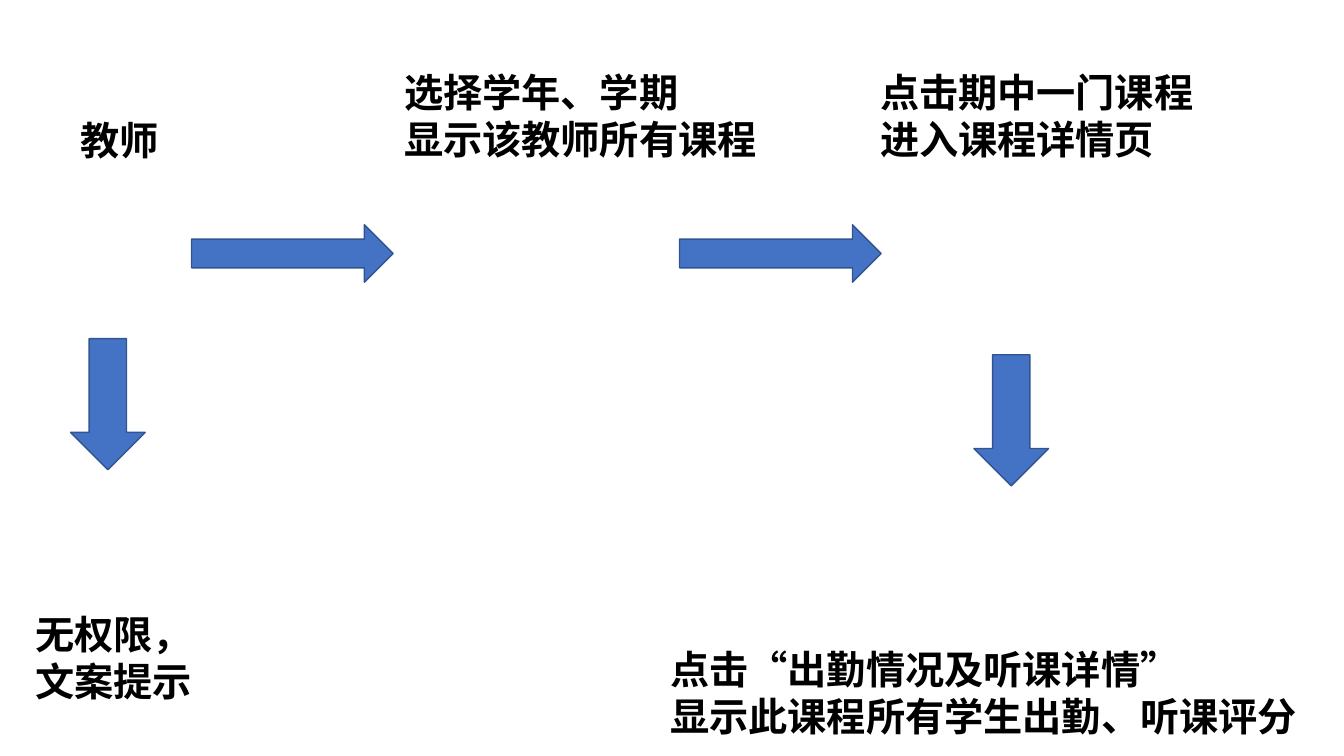
"""Build a slide showing the teacher's course lookup flow."""
from dataclasses import dataclass

from lxml import etree
from pptx import Presentation
from pptx.dml.color import RGBColor
from pptx.enum.shapes import MSO_SHAPE
from pptx.enum.text import MSO_AUTO_SIZE
from pptx.oxml.ns import qn
from pptx.util import Inches, Pt

RIGHT_ARROW = MSO_SHAPE.RIGHT_ARROW
DOWN_ARROW = MSO_SHAPE.DOWN_ARROW
FIT_SHAPE = MSO_AUTO_SIZE.SHAPE_TO_FIT_TEXT
BLANK_LAYOUT = 6

STEPS = [
    (0.7, 1.1, 1.5, 0.57, ["教师"]),
    (3.91, 0.63, 3.77, 1.04, ["选择学年、学期", "显示该教师所有课程"]),
    (8.63, 0.63, 3.77, 1.04, ["点击期中一门课程", "进入课程详情页"]),
    (6.55, 6.35, 6.75, 1.04, ["点击“出勤情况及听课详情”", "显示此课程所有学生出勤、听课评分"]),
    (0.25, 6.01, 1.9, 1.04, ["无权限，文案提示"]),
]
ARROWS = [
    (RIGHT_ARROW, 1.9, 2.23),
    (RIGHT_ARROW, 6.74, 2.23),
    (DOWN_ARROW, 0.7, 3.36),
    (DOWN_ARROW, 9.66, 3.52),
]
ARROW_SIZES = {RIGHT_ARROW: (2, 0.57), DOWN_ARROW: (0.74, 1.3)}


@dataclass(frozen=True)
class Theme:
    font: str = "Noto Sans CJK SC"
    text_size: int = 28
    line_width: int = 1
    text: RGBColor = RGBColor(0x00, 0x00, 0x00)
    arrow_fill: RGBColor = RGBColor(0x44, 0x72, 0xC4)
    arrow_line: RGBColor = RGBColor(0x32, 0x54, 0x91)


THEME = Theme()


def format_paragraph(paragraph):
    font = paragraph.font
    font.name = THEME.font
    font.size = Pt(THEME.text_size)
    font.bold = True
    font.color.rgb = THEME.text
    defaults = paragraph._p.pPr.find(qn("a:defRPr"))
    latin = defaults.find(qn("a:latin"))
    east_asian = etree.Element(qn("a:ea"), typeface=THEME.font)
    latin.addnext(east_asian)


def add_step(slide, left, top, width, height, lines):
    box = slide.shapes.add_textbox(*map(Inches, (left, top, width, height)))
    frame = box.text_frame
    frame.word_wrap = True
    frame.auto_size = FIT_SHAPE
    frame.text = "\n".join(lines)
    for paragraph in frame.paragraphs:
        format_paragraph(paragraph)


def add_arrow(slide, kind, left, top):
    arrow = slide.shapes.add_shape(kind, *map(Inches, (left, top, *ARROW_SIZES[kind])))
    arrow.shadow.inherit = False
    arrow.fill.solid()
    arrow.fill.fore_color.rgb = THEME.arrow_fill
    arrow.line.color.rgb = THEME.arrow_line
    arrow.line.width = Pt(THEME.line_width)


def main():
    presentation = Presentation()
    presentation.slide_width = Inches(13.33)
    presentation.slide_height = Inches(7.5)
    slide = presentation.slides.add_slide(presentation.slide_layouts[BLANK_LAYOUT])
    for step in STEPS:
        add_step(slide, *step)
    for arrow in ARROWS:
        add_arrow(slide, *arrow)
    presentation.save("out.pptx")


if __name__ == "__main__":
    main()
